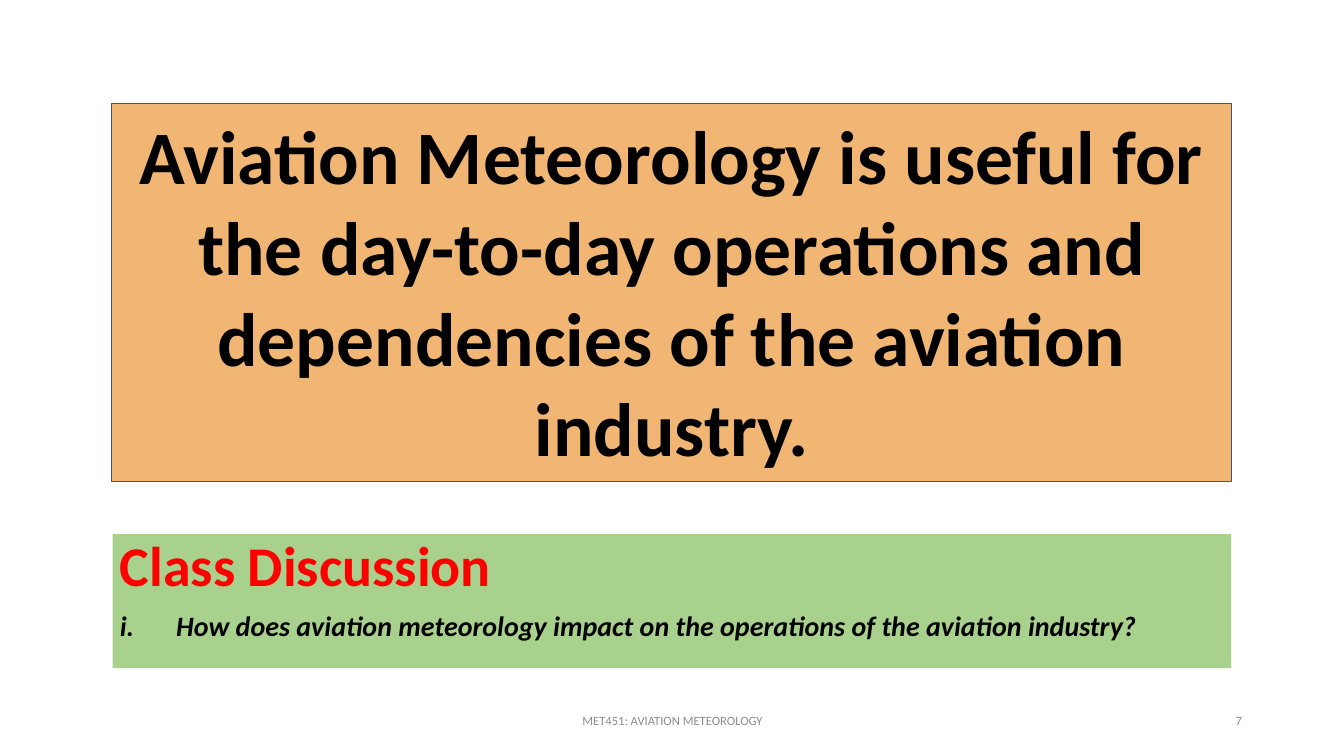
"""Build the aviation meteorology discussion slide."""
from dataclasses import dataclass

from lxml.etree import SubElement
from pptx import Presentation
from pptx.dml.color import RGBColor
from pptx.enum.shapes import MSO_SHAPE
from pptx.enum.text import MSO_ANCHOR, MSO_AUTO_SIZE, PP_ALIGN
from pptx.oxml.ns import qn
from pptx.util import Cm, Pt


@dataclass(frozen=True)
class Theme:
    """Colours, type sizes and font of the slide."""
    font: str = "Calibri"
    ink: str = "000000"
    red: str = "FF0000"
    grey: str = "8C8C8C"
    orange: str = "F2B674"
    green: str = "A9D18E"
    edge: str = "44546A"
    claim: int = 54
    head: int = 40
    body: int = 20
    foot: int = 9


THEME = Theme()


def color(code):
    """Turn a hex code into a colour."""
    return RGBColor.from_string(code)


def write(para, text, size, ink=THEME.ink, bold=False, italic=False,
          align=PP_ALIGN.LEFT, lead=None, before=None):
    """Put formatted text into a paragraph."""
    para.alignment = align
    para.line_spacing = lead
    para.space_before = before
    run = para.add_run()
    run.text = text
    font = run.font
    font.name, font.size = THEME.font, Pt(size)
    font.bold, font.italic = bold, italic
    font.color.rgb = color(ink)


def number(para, style, indent):
    """Give a paragraph an automatic number with a hanging indent."""
    props = para._p.get_or_add_pPr()
    props.set("marL", str(indent))
    props.set("indent", str(-indent))
    SubElement(props, qn("a:buAutoNum"), type=style)


def frame(shape, side, edge, anchor=MSO_ANCHOR.TOP):
    """Set the wrapping, margins and anchor of a shape's text."""
    text = shape.text_frame
    text.word_wrap = True
    text.vertical_anchor = anchor
    text.margin_left = text.margin_right = side
    text.margin_top = text.margin_bottom = edge
    return text


def paint(shape, fill, line=None):
    """Fill a shape and draw or drop its outline."""
    shape.fill.solid()
    shape.fill.fore_color.rgb = color(fill)
    if line:
        shape.line.color.rgb = color(line)
        shape.line.width = Pt(0.75)
    else:
        shape.line.fill.background()


def add_claim(slide, text):
    """Place the main statement in the title."""
    title = slide.shapes.title
    title.left, title.top = Cm(2.82), Cm(2.62)
    title.width, title.height = Cm(28.22), Cm(9.5)
    paint(title, THEME.orange, THEME.edge)
    body = frame(title, Cm(0.25), Cm(0.13))
    body.auto_size = MSO_AUTO_SIZE.SHAPE_TO_FIT_TEXT
    write(body.paragraphs[0], text, THEME.claim, bold=True,
          align=PP_ALIGN.CENTER)


def add_panel(slide, head, items):
    """Add the discussion panel with its numbered questions."""
    panel = slide.shapes.add_shape(
        MSO_SHAPE.RECTANGLE, Cm(2.84), Cm(13.46), Cm(28.19), Cm(3.38))
    panel.shadow.inherit = False
    paint(panel, THEME.green)
    body = frame(panel, Cm(0.18), Cm(0.1))
    write(body.paragraphs[0], head, THEME.head, ink=THEME.red, bold=True,
          align=PP_ALIGN.JUSTIFY, lead=0.9)
    for item in items:
        para = body.add_paragraph()
        number(para, "romanLcPeriod", Cm(1.42))
        write(para, item, THEME.body, bold=True, italic=True,
              align=PP_ALIGN.JUSTIFY, lead=0.9, before=Pt(10))


def add_foot(slide, text, left, width, align):
    """Add one small grey text at the foot of the slide."""
    box = slide.shapes.add_textbox(left, Cm(17.65), width, Cm(1.02))
    body = frame(box, Cm(0.25), Cm(0.13), MSO_ANCHOR.MIDDLE)
    write(body.paragraphs[0], text, THEME.foot, ink=THEME.grey, align=align)


def main():
    """Build and save the slide."""
    deck = Presentation()
    deck.slide_width, deck.slide_height = Cm(33.87), Cm(19.05)
    slide = deck.slides.add_slide(deck.slide_layouts.get_by_name("Title Only"))
    add_claim(slide, "Aviation Meteorology is useful for the day-to-day "
              "operations and dependencies of the aviation industry.")
    add_panel(slide, "Class Discussion", [
        "How does aviation meteorology impact on the operations "
        "of the aviation industry?"])
    add_foot(slide, "MET451: AVIATION METEOROLOGY", Cm(11.23), Cm(11.43),
             PP_ALIGN.CENTER)
    add_foot(slide, "7", Cm(23.93), Cm(7.62), PP_ALIGN.RIGHT)
    deck.save("out.pptx")


if __name__ == "__main__":
    main()
